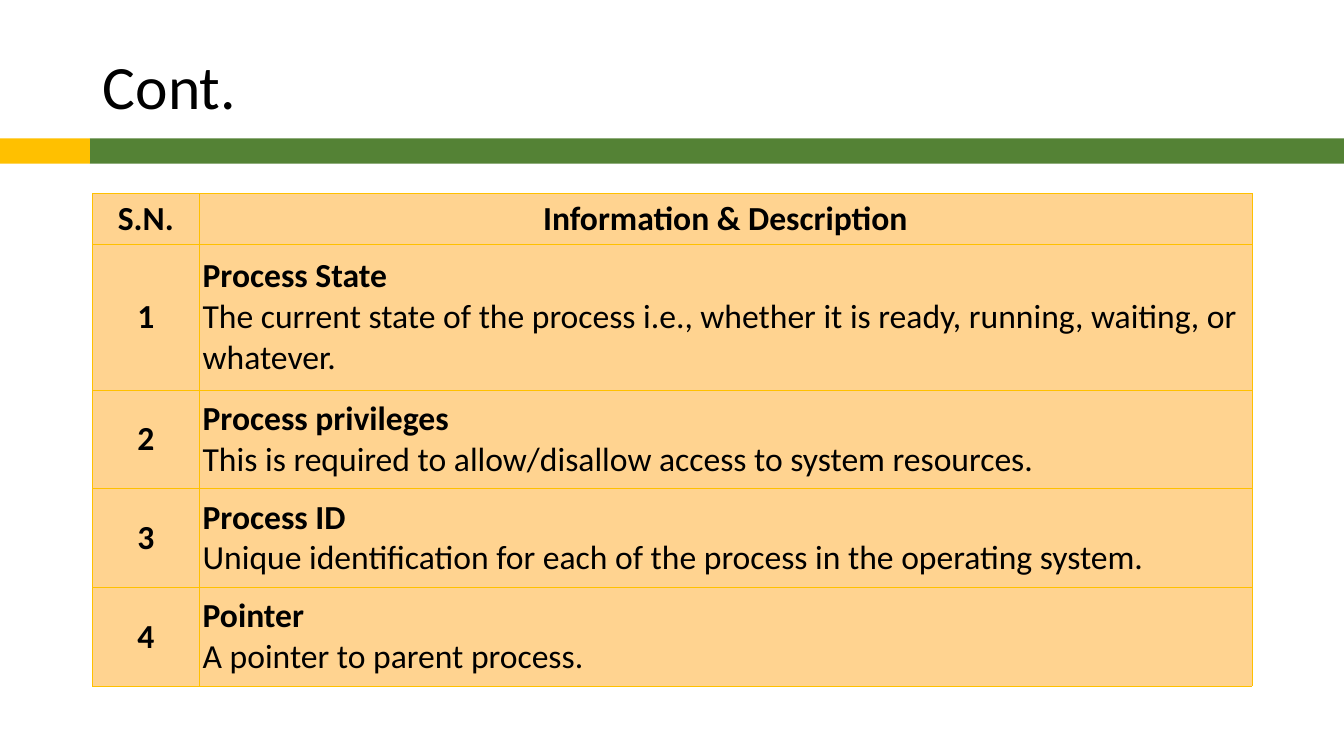
"""Build the slide that lists process information in a table under a two-colour band."""
import dataclasses

import lxml.etree
import pptx
import pptx.dml.color
import pptx.enum.shapes
import pptx.enum.text
import pptx.oxml.ns
import pptx.slide
import pptx.table
import pptx.text.text
import pptx.util

Pt = pptx.util.Pt
Align = pptx.enum.text.PP_ALIGN
Anchor = pptx.enum.text.MSO_ANCHOR

FONT = "Calibri"
BLACK = "000000"
GOLD = "FFC000"
GREEN = "548235"
PEACH = "FFD390"

SLIDE_WIDTH, SLIDE_HEIGHT = 960, 540
LEFT, CONTENT_WIDTH = 66.24, 828
BAND_TOP, BAND_HEIGHT, BAND_SPLIT = 98.9, 18, 64.3
TABLE_TOP = 138.2
COLUMN_WIDTHS = (75.8, 752.2)
HEADER_HEIGHT = 36.6
LINE_HEIGHT = 29.3


@dataclasses.dataclass(frozen=True)
class Band:
    left: float
    width: float
    color: str


@dataclasses.dataclass(frozen=True)
class Entry:
    heading: str
    description: str
    height: float = 70.4


BANDS = (
    Band(BAND_SPLIT, SLIDE_WIDTH - BAND_SPLIT, GREEN),
    Band(0, BAND_SPLIT, GOLD),
)
ENTRIES = (
    Entry(
        "Process State",
        "The current state of the process i.e., whether it is ready, running, waiting, or whatever.",
        104,
    ),
    Entry("Process privileges", "This is required to allow/disallow access to system resources."),
    Entry("Process ID", "Unique identification for each of the process in the operating system."),
    Entry("Pointer", "A pointer to parent process."),
)


def rgb(color: str) -> pptx.dml.color.RGBColor:
    """Turn a hex string into a colour."""
    return pptx.dml.color.RGBColor.from_string(color)


def format_para(para: pptx.text.text._Paragraph, size: float, bold: bool, align: Align) -> None:
    """Align a paragraph and set the font of its runs."""
    para.alignment = align
    for span in para.runs:
        span.font.name = FONT
        span.font.size = Pt(size)
        span.font.bold = bold
        span.font.color.rgb = rgb(BLACK)


def draw_band(page: pptx.slide.Slide, band: Band) -> None:
    """Draw one flat rectangle of the band."""
    box = page.shapes.add_shape(
        pptx.enum.shapes.MSO_SHAPE.RECTANGLE,
        Pt(band.left), Pt(BAND_TOP), Pt(band.width), Pt(BAND_HEIGHT),
    )
    box.shadow.inherit = False
    box.fill.solid()
    box.fill.fore_color.rgb = rgb(band.color)
    box.line.fill.background()


def draw_title(page: pptx.slide.Slide, text: str) -> None:
    """Place and format the title placeholder."""
    title = page.shapes.title
    title.left, title.top = Pt(LEFT), Pt(28.8)
    title.width, title.height = Pt(CONTENT_WIDTH), Pt(70)
    title.text_frame.text = text
    title.text_frame.vertical_anchor = Anchor.MIDDLE
    para = title.text_frame.paragraphs[0]
    para.line_spacing = 0.9
    format_para(para, 44, False, Align.LEFT)


def add_borders(cell: pptx.table._Cell, color: str, width: float) -> None:
    """Line all four sides of a cell."""
    properties = cell._tc.get_or_add_tcPr()
    qn = pptx.oxml.ns.qn
    for position, side in enumerate(("a:lnL", "a:lnR", "a:lnT", "a:lnB")):
        line = lxml.etree.Element(qn(side), w=str(Pt(width)))
        fill = lxml.etree.SubElement(line, qn("a:solidFill"))
        lxml.etree.SubElement(fill, qn("a:srgbClr"), val=color)
        properties.insert(position, line)


def fill_cell(cell: pptx.table._Cell, text: str, align: Align) -> None:
    """Write a cell whose first paragraph is bold."""
    cell.text_frame.text = text
    cell.vertical_anchor = Anchor.MIDDLE
    cell.margin_left = cell.margin_right = Pt(2.7)
    cell.margin_top = cell.margin_bottom = Pt(1.35)
    cell.fill.solid()
    cell.fill.fore_color.rgb = rgb(PEACH)
    add_borders(cell, GOLD, 0.5)
    for index, para in enumerate(cell.text_frame.paragraphs):
        format_para(para, 24, index == 0, align)


def draw_table(page: pptx.slide.Slide) -> None:
    """Draw the header and one numbered row for each entry."""
    heights = [HEADER_HEIGHT, *(entry.height for entry in ENTRIES)]
    table = page.shapes.add_table(
        len(heights), len(COLUMN_WIDTHS),
        Pt(LEFT), Pt(TABLE_TOP), Pt(CONTENT_WIDTH), Pt(sum(heights)),
    ).table
    for column, width in zip(table.columns, COLUMN_WIDTHS):
        column.width = Pt(width)
    for row, height in zip(table.rows, heights):
        row.height = Pt(height)
    fill_cell(table.cell(0, 0), "S.N.", Align.CENTER)
    fill_cell(table.cell(0, 1), "Information & Description", Align.CENTER)
    for number, entry in enumerate(ENTRIES, start=1):
        fill_cell(table.cell(number, 0), str(number), Align.CENTER)
        fill_cell(table.cell(number, 1), f"{entry.heading}\n{entry.description}", Align.LEFT)


def main() -> None:
    """Build and save the deck."""
    deck = pptx.Presentation()
    deck.slide_width, deck.slide_height = Pt(SLIDE_WIDTH), Pt(SLIDE_HEIGHT)
    page = deck.slides.add_slide(deck.slide_layouts.get_by_name("Title Only"))
    for band in BANDS:
        draw_band(page, band)
    draw_title(page, "Cont.")
    draw_table(page)
    deck.save("out.pptx")


if __name__ == "__main__":
    main()
